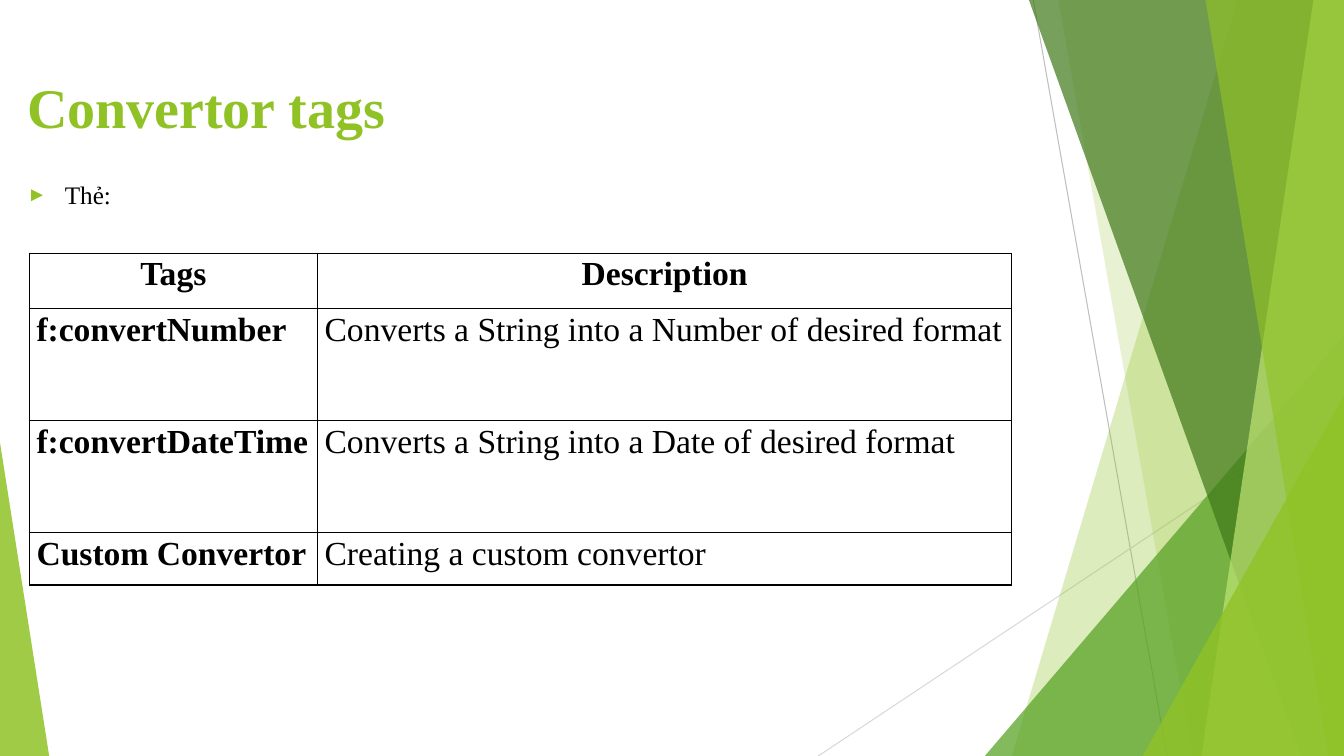
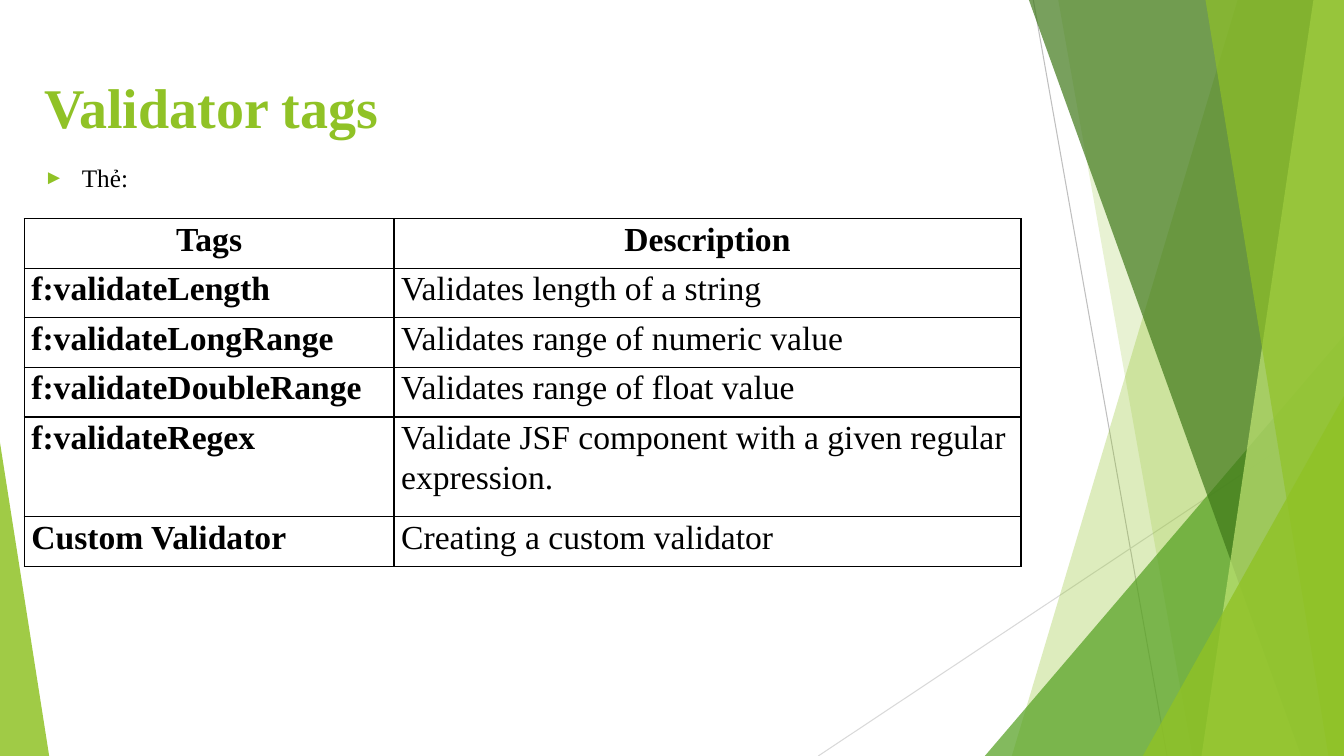
from dataclasses import dataclass
from typing import Optional, Union

from lxml.etree import SubElement
from pptx import Presentation
from pptx.dml.color import RGBColor
from pptx.enum.shapes import MSO_CONNECTOR as Connector, MSO_SHAPE as Preset
from pptx.enum.text import MSO_ANCHOR as Anchor, MSO_AUTO_SIZE as AutoSize, PP_ALIGN as Align
from pptx.oxml import parse_xml
from pptx.oxml.ns import nsdecls, qn
from pptx.util import Cm, Pt

SLIDE_WIDTH, SLIDE_HEIGHT = 33.87, 19.05
FONT = "Times New Roman"
GREEN, MID_GREEN, DARK_GREEN, PALE_GREEN = "90C226", "54A021", "3F7819", "C0E474"
BLACK = "000000"
TEXT_BOTTOM = 16.03
CELL_MARGIN = 0.18


@dataclass(frozen=True)
class Ray:
    start: tuple[float, float]
    end: tuple[float, float]
    color: str


@dataclass(frozen=True)
class Band:
    top_x: float
    bottom_x: float
    color: str
    opacity: int


@dataclass(frozen=True)
class Wedge:
    left: float
    top: float
    right: float
    tip: float
    color: str
    opacity: int


@dataclass(frozen=True)
class TagSlide:
    title: str
    text_left: float
    body_top: float
    table_left: float
    table_top: float
    columns: tuple[float, float]
    rows: tuple[float, ...]
    tags: tuple[tuple[str, str], ...]


DECORATION: tuple[Union[Ray, Band, Wedge], ...] = (
    Ray((26.04, 0), (29.41, SLIDE_HEIGHT), "BFBFBF"),
    Ray((SLIDE_WIDTH, 10.24), (20.62, SLIDE_HEIGHT), "D9D9D9"),
    Band(31.19, 25.5, GREEN, 30),
    Band(26.67, 30.05, GREEN, 20),
    Wedge(24.82, 8.46, SLIDE_WIDTH, 1, MID_GREEN, 72),
    Band(25.93, 32.79, DARK_GREEN, 70),
    Band(33.1, 30.28, PALE_GREEN, 70),
    Band(30.38, 33.48, GREEN, 65),
    Wedge(28.8, 9.98, SLIDE_WIDTH, 1, GREEN, 80),
    Wedge(0, 11.15, 1.24, 0, GREEN, 85),
)

SLIDES = (
    TagSlide(
        "Convertor tags", 0.43, 4.39, 0.74, 6.38, (7.26, 17.5),
        (1.4, 2.82, 2.82, 1.32),
        (
            ("f:convertNumber", "Converts a String into a Number of desired format"),
            ("f:convertDateTime", "Converts a String into a Date of desired format"),
            ("Custom Convertor", "Creating a custom convertor"),
        ),
    ),
    TagSlide(
        "Validator tags", 0.86, 3.96, 0.61, 5.51, (9.32, 15.8),
        (1.25, 1.25, 1.25, 1.25, 2.51, 1.25),
        (
            ("f:validateLength", "Validates length of a string"),
            ("f:validateLongRange", "Validates range of numeric value"),
            ("f:validateDoubleRange", "Validates range of float value"),
            ("f:validateRegex", "Validate JSF component with a given regular expression."),
            ("Custom Validator", "Creating a custom validator"),
        ),
    ),
)


def rgb(color: str) -> RGBColor:
    return RGBColor.from_string(color)


def set_font(paragraph, size: float, color: str, bold: bool = False) -> None:
    font = paragraph.font
    font.name, font.size, font.bold = FONT, Pt(size), bold
    font.color.rgb = rgb(color)


def paint(shape, color: str, opacity: int) -> None:
    shape.shadow.inherit = False
    shape.fill.solid()
    shape.fill.fore_color.rgb = rgb(color)
    shape.line.fill.background()
    fill_color = shape.element.spPr.find(f"{qn('a:solidFill')}/{qn('a:srgbClr')}")
    SubElement(fill_color, qn("a:alpha"), val=str(opacity * 1000))


def draw_ray(slide, ray: Ray):
    points = [Cm(value) for value in (*ray.start, *ray.end)]
    connector = slide.shapes.add_connector(Connector.STRAIGHT, *points)
    connector.line.color.rgb = rgb(ray.color)
    connector.line.width = Pt(0.75)
    SubElement(connector.element.spPr, qn("a:effectLst"))
    return connector


def draw_band(slide, band: Band):
    corners = ((SLIDE_WIDTH, 0), (SLIDE_WIDTH, SLIDE_HEIGHT), (band.bottom_x, SLIDE_HEIGHT))
    builder = slide.shapes.build_freeform(Cm(band.top_x), 0)
    builder.add_line_segments([(Cm(x), Cm(y)) for x, y in corners], close=True)
    shape = builder.convert_to_shape()
    paint(shape, band.color, band.opacity)
    return shape


def draw_wedge(slide, wedge: Wedge):
    shape = slide.shapes.add_shape(
        Preset.ISOSCELES_TRIANGLE, Cm(wedge.left), Cm(wedge.top),
        Cm(wedge.right - wedge.left), Cm(SLIDE_HEIGHT - wedge.top),
    )
    shape.adjustments[0] = wedge.tip
    paint(shape, wedge.color, wedge.opacity)
    return shape


def decorate_layout(layout, slide) -> None:
    painters = {Ray: draw_ray, Band: draw_band, Wedge: draw_wedge}
    for number, item in enumerate(DECORATION):
        element = painters[type(item)](slide, item).element
        element.xpath(".//p:cNvPr")[0].set("id", str(100 + number))
        layout.shapes.element.insert(2 + number, element)


def fill_placeholder(placeholder, text: str, left: float, top: float,
                     width: float, height: float):
    placeholder.left, placeholder.top = Cm(left), Cm(top)
    placeholder.width, placeholder.height = Cm(width), Cm(height)
    frame = placeholder.text_frame
    frame.text = text
    frame.word_wrap = True
    frame.auto_size = AutoSize.NONE
    frame.vertical_anchor = Anchor.TOP
    paragraph = frame.paragraphs[0]
    paragraph.alignment = Align.LEFT
    paragraph.space_before = Pt(0)
    return paragraph


def add_bullet(paragraph) -> None:
    properties = paragraph._p.get_or_add_pPr()
    properties.set("marL", str(Cm(0.95)))
    properties.set("indent", str(-Cm(0.95)))
    SubElement(SubElement(properties, qn("a:buClr")), qn("a:srgbClr"), val=GREEN)
    SubElement(properties, qn("a:buSzPct"), val="80000")
    SubElement(properties, qn("a:buChar"), char="►")


def set_borders(cell) -> None:
    properties = cell._tc.get_or_add_tcPr()
    for position, side in enumerate(("lnL", "lnR", "lnT", "lnB")):
        properties.insert(position, parse_xml(
            f'<a:{side} {nsdecls("a")} w="{Pt(1)}"><a:solidFill>'
            f'<a:srgbClr val="{BLACK}"/></a:solidFill></a:{side}>'
        ))


def fill_cell(cell, text: str, bold: bool, alignment: Optional[Align]) -> None:
    cell.text = text
    cell.margin_left = cell.margin_right = Cm(CELL_MARGIN)
    cell.margin_top = cell.margin_bottom = 0
    cell.fill.background()
    set_borders(cell)
    paragraph = cell.text_frame.paragraphs[0]
    paragraph.alignment = alignment
    paragraph.line_spacing = 1.07
    set_font(paragraph, 24, BLACK, bold)


def add_tag_table(slide, content: TagSlide) -> None:
    table = slide.shapes.add_table(
        len(content.rows), len(content.columns), Cm(content.table_left),
        Cm(content.table_top), Cm(sum(content.columns)), Cm(sum(content.rows)),
    ).table
    table.first_row = table.horz_banding = False
    for column, width in zip(table.columns, content.columns):
        column.width = Cm(width)
    for row, height in zip(table.rows, content.rows):
        row.height = Cm(height)
    for row_index, texts in enumerate((("Tags", "Description"), *content.tags)):
        is_header = row_index == 0
        for column_index, text in enumerate(texts):
            fill_cell(
                table.cell(row_index, column_index), text,
                is_header or column_index == 0,
                Align.CENTER if is_header else Align.LEFT,
            )


def fill_slide(slide, content: TagSlide) -> None:
    title = fill_placeholder(
        slide.shapes.title, content.title, content.text_left, 1.7, 23.88, 3.66)
    set_font(title, 40, GREEN, bold=True)
    body = fill_placeholder(
        slide.placeholders[1], "Thẻ:", content.text_left, content.body_top,
        25.78, TEXT_BOTTOM - content.body_top)
    add_bullet(body)
    set_font(body, 18, BLACK)
    add_tag_table(slide, content)


def main() -> None:
    presentation = Presentation()
    presentation.slide_width, presentation.slide_height = Cm(SLIDE_WIDTH), Cm(SLIDE_HEIGHT)
    layout = presentation.slide_layouts[1]
    slides = [presentation.slides.add_slide(layout) for _ in SLIDES]
    decorate_layout(layout, slides[0])
    for slide, content in zip(slides, SLIDES):
        fill_slide(slide, content)
    presentation.save("out.pptx")


if __name__ == "__main__":
    main()
